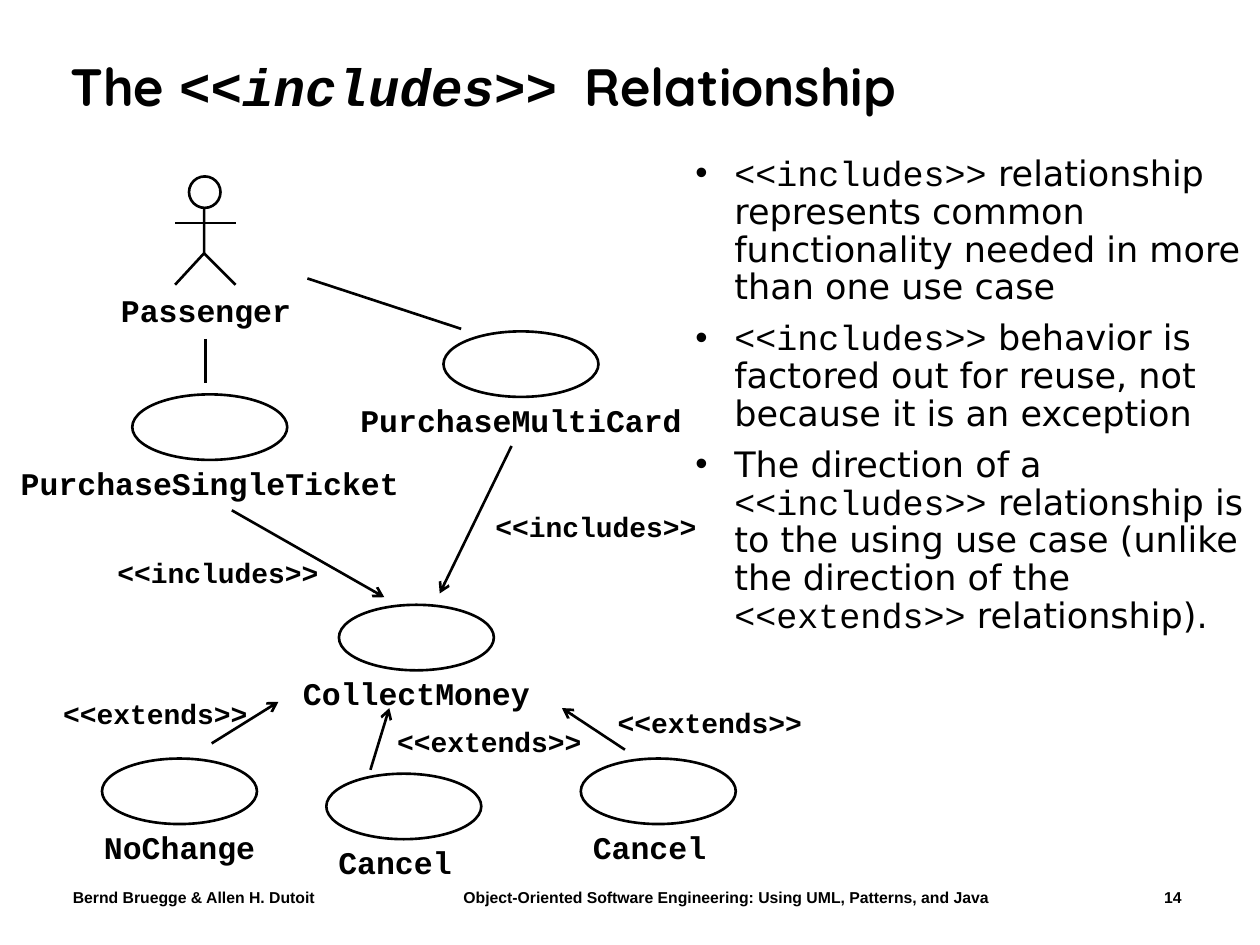
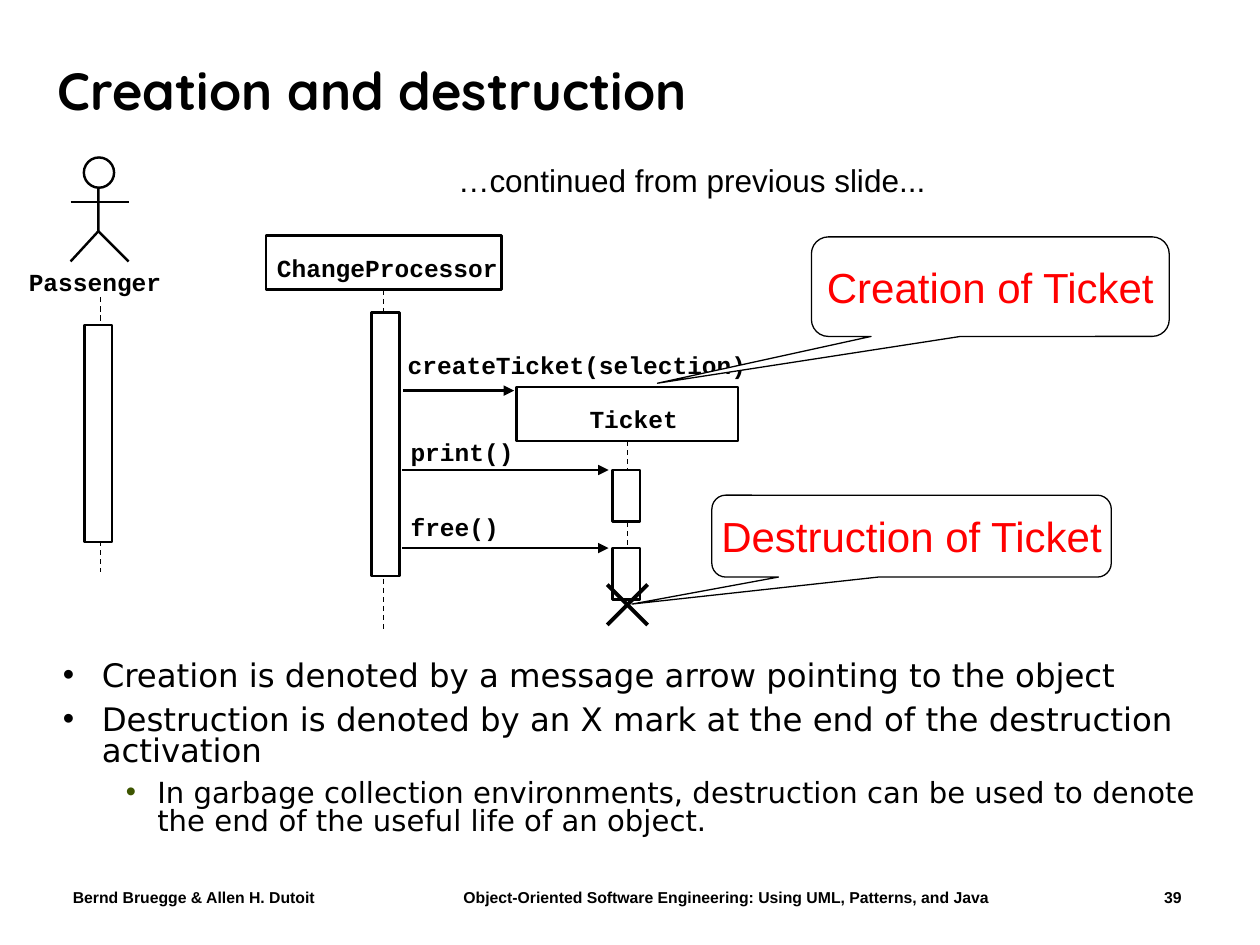
from pptx import Presentation
from pptx.dml.color import RGBColor
from pptx.enum.dml import MSO_LINE
from pptx.enum.shapes import MSO_CONNECTOR as Wire, MSO_SHAPE as Form
from pptx.enum.text import MSO_ANCHOR as Anchor, PP_ALIGN as Align
from pptx.oxml.ns import qn
from pptx.util import Inches, Pt
from lxml.etree import SubElement

# Shared look
BLACK, WHITE, RED, GREEN = "000000", "FFFFFF", "FF0000", "3D5500"
HEAD, BODY, MONO, SANS = "Quicksand", "DejaVu Sans", "Courier New", "Arial"
INCL = ("<<includes>>", MONO)
EXT = ("<<extends>>", MONO)
THICK, THIN, DASH = 1.5, 1.39, 0.75
OVAL = (1.23, 0.52)
BAR = 0.22
SLACK = 0.05


def color(code):
    return RGBColor.from_string(code)


# Text
def mark(para, tint, left, hang):
    """Give a paragraph a hanging bullet."""
    props = para._p.get_or_add_pPr()
    props.set("marL", str(Inches(left)))
    props.set("indent", str(-Inches(hang)))
    SubElement(SubElement(props, qn("a:buClr")), qn("a:srgbClr"), val=tint)
    SubElement(props, qn("a:buFont"), typeface=SANS)
    SubElement(props, qn("a:buChar"), char="•")


def add_tabs(para, stops):
    tabs = SubElement(para._p.get_or_add_pPr(), qn("a:tabLst"))
    for pos, side in stops:
        SubElement(tabs, qn("a:tab"), pos=str(Inches(pos)), algn=side)


def write(shape, *runs, size=18, font=SANS, tint=BLACK, bold=False,
          align=Align.LEFT, anchor=Anchor.TOP, pad=(0.1, 0.05), wrap=True,
          lead=None, gap=0, bullet=None, stops=()):
    """Append a paragraph; a run is a string or (text, font, size, italic)."""
    frame = shape.text_frame
    frame.word_wrap, frame.vertical_anchor = wrap, anchor
    frame.margin_left = frame.margin_right = Inches(pad[0])
    frame.margin_top = frame.margin_bottom = Inches(pad[1])
    para = frame.paragraphs[0]
    if para.runs:
        para = frame.add_paragraph()
        para.space_before = Pt(gap)
    if bullet:
        mark(para, *bullet)
    if stops:
        add_tabs(para, stops)
    para.alignment = align
    if lead:
        para.line_spacing = lead
    for part in runs:
        words, *own = (part,) if isinstance(part, str) else part
        face, points, slant = (own + [None] * 3)[:3]
        run = para.add_run()
        run.text = words
        style = run.font
        style.name, style.size = face or font, Pt(points or size)
        style.bold, style.italic = bold, bool(slant)
        style.color.rgb = color(tint)


def text_box(slide, x, y, w, h):
    return slide.shapes.add_textbox(Inches(x), Inches(y), Inches(w), Inches(h))


def label(slide, x, y, words, size=14):
    """Bold monospaced text; each letter is 0.6 em wide, plus some slack."""
    wide = len(words) * size / 120 + 2 * SLACK
    box = text_box(slide, x - SLACK, y, wide, size / 60)
    write(box, words, size=size, font=MONO, bold=True, align=Align.CENTER,
          pad=(0, 0), wrap=False)


def title(slide, x, y, w, h, *runs):
    write(text_box(slide, x, y, w, h), *runs, size=30, font=HEAD, bold=True,
          anchor=Anchor.MIDDLE, lead=0.9)


def footer(slide, number):
    write(text_box(slide, 0.48, 7, 9.1, 0.25),
          "Bernd Bruegge & Allen H. Dutoit\tObject-Oriented Software "
          f"Engineering: Using UML, Patterns, and Java\t{number}",
          size=9, bold=True, stops=((3.1, "l"), (8.8, "r")))


# Shapes and lines
def shape(slide, form, x, y, w, h, fill=None, line=THICK):
    item = slide.shapes.add_shape(form, Inches(x), Inches(y), Inches(w), Inches(h))
    paint(item, fill, line)
    return item


def paint(item, fill, line):
    item.shadow.inherit = False
    if fill:
        item.fill.solid()
        item.fill.fore_color.rgb = color(fill)
    else:
        item.fill.background()
    if line:
        item.line.color.rgb = color(BLACK)
        item.line.width = Pt(line)
    else:
        item.line.fill.background()


def line(slide, x1, y1, x2, y2, width=THICK, tip=None, dash=False):
    wire = slide.shapes.add_connector(
        Wire.STRAIGHT, Inches(x1), Inches(y1), Inches(x2), Inches(y2))
    wire.line.color.rgb = color(BLACK)
    wire.line.width = Pt(width)
    if dash:
        wire.line.dash_style = MSO_LINE.DASH
    if tip:
        SubElement(wire.line._get_or_add_ln(), qn("a:tailEnd"), type=tip)
    SubElement(wire._element.spPr, qn("a:effectLst"))
    return wire


def actor(slide, x, y, scale=1, width=THICK):
    """Stick figure: trunk with left leg, right leg, arms, head."""
    def at(dx, dy):
        return x + dx * scale, y + dy * scale

    neck, hip, foot = [tuple(map(Inches, at(*p)))
                       for p in ((0.23, 0.18), (0.23, 0.61), (0, 0.86))]
    path = slide.shapes.build_freeform(*neck, scale=1)
    path.add_line_segments([hip, foot], close=False)
    paint(path.convert_to_shape(), None, width)
    line(slide, *at(0.23, 0.61), *at(0.48, 0.86), width)
    line(slide, *at(0, 0.37), *at(0.48, 0.37), width)
    shape(slide, Form.OVAL, *at(0.11, 0), 0.25 * scale, 0.25 * scale, WHITE, width)


def use_case(slide, x, y, name, shift=0):
    shape(slide, Form.OVAL, x, y, *OVAL)
    mid = x + OVAL[0] / 2 + shift
    label(slide, mid - len(name) * 0.075, y + 0.55, name, 18)


def link(slide, ends, word, x, y):
    """Open arrow with its stereotype."""
    line(slide, *ends, tip="arrow")
    label(slide, x, y, word[0], 16)


def call(slide, x1, x2, y, words, x, top):
    line(slide, x1, y, x2, y, THIN, "triangle")
    label(slide, x, top, words)


def bar(slide, x, y, h):
    shape(slide, Form.RECTANGLE, x, y, BAR, h, WHITE, THIN)


def callout(slide, x, y, w, h, words, tip):
    item = shape(slide, Form.ROUNDED_RECTANGULAR_CALLOUT, x, y, w, h, WHITE, 0.75)
    for i, val in enumerate((*tip, 0.17)):
        item.adjustments[i] = val
    write(item, words, size=24, tint=RED, align=Align.CENTER,
          anchor=Anchor.MIDDLE, wrap=False)


# Slides
def includes(slide):
    footer(slide, 14)
    title(slide, 0.46, 0.24, 8.92, 0.94, "The ", ("<<includes>>", MONO, 30, True),
          (" ", MONO, 26, True), "Relationship")
    body = text_box(slide, 5.42, 1.19, 4.58, 5.25)
    for runs in (
        (INCL, " relationship represents common functionality needed in more "
               "than one use case"),
        (INCL, " behavior is factored out for reuse, not because it is an exception"),
        ("The direction of a ", INCL, " relationship is to the using use case "
         "(unlike the direction of the ", EXT, " relationship)."),
    ):
        write(body, *runs, size=20, font=BODY, lead=0.9, gap=7.5,
              bullet=(BLACK, 0.31, 0.31))

    # Use case diagram
    actor(slide, 1.39, 1.4)
    label(slide, 0.96, 2.31, "Passenger", 18)
    for x, y, name, shift in (
        (1.05, 3.13, "PurchaseSingleTicket", 0),
        (3.52, 2.63, "PurchaseMultiCard", 0),
        (2.69, 4.8, "CollectMoney", 0),
        (0.81, 6.02, "NoChange", 0),
        (4.61, 6.02, "Cancel", -0.07),
        (2.59, 6.14, "Cancel", -0.07),
    ):
        use_case(slide, x, y, name, shift)
    line(slide, 1.63, 2.69, 1.63, 3.04)
    line(slide, 2.44, 2.21, 3.66, 2.61)
    for ends, word, x, y in (
        ((4.06, 3.54, 3.49, 4.71), INCL, 3.93, 4.04),
        ((1.84, 4.05, 3.05, 4.74), INCL, 0.93, 4.41),
        ((1.68, 5.9, 2.21, 5.57), EXT, 0.5, 5.53),
        ((4.96, 5.95, 4.46, 5.62), EXT, 4.9, 5.6),
        ((2.94, 6.11, 3.09, 5.62), EXT, 3.15, 5.75),
    ):
        link(slide, ends, word, x, y)


def creation(slide):
    footer(slide, 39)
    title(slide, 0.36, 0.33, 9.24, 0.83, "Creation and destruction")
    body = text_box(slide, 0.4, 5.21, 9.4, 1.51)
    for words in (
        "Creation is denoted by a message arrow pointing to the object",
        "Destruction is denoted by an X mark at the end of the destruction activation",
    ):
        write(body, words, size=18.5, font=BODY, lead=0.8, gap=7.5,
              bullet=(BLACK, 0.31, 0.31))
    write(body, "In garbage collection environments, destruction can be used to "
          "denote the end of the useful life of an object.", size=16.65, font=BODY,
          lead=0.8, gap=6.8, bullet=(GREEN, 0.75, 0.25))
    note = shape(slide, Form.RECTANGLE, 2.38, 1.23, 6.22, 0.4, WHITE, None)
    write(note, "…continued from previous slide...", align=Align.CENTER,
          anchor=Anchor.MIDDLE)

    # Objects and lifelines
    actor(slide, 0.56, 1.25, 0.96, THIN)
    label(slide, 0.23, 2.12, "Passenger")
    line(slide, 0.8, 2.36, 0.8, 4.54, DASH, dash=True)
    for x, y, w, name, left, end in (
        (2.11, 1.87, 1.87, "ChangeProcessor", 2.2, 5.01),
        (4.1, 3.07, 1.76, "Ticket", 4.68, 4.78),
    ):
        box = shape(slide, Form.RECTANGLE, x, y, w, 0.43, None, THIN)
        label(slide, left, y + 0.14, name)
        mid = x + w / 2
        life = line(slide, mid, y + 0.43, mid, end, DASH, dash=True)
        life.begin_connect(box, 2)
    for x, y, h in ((0.67, 2.58, 1.72), (2.95, 2.48, 2.09),
                    (4.86, 3.73, 0.41), (4.86, 4.35, 0.41)):
        bar(slide, x, y, h)

    # Messages
    call(slide, 3.2, 4.08, 3.1, "createTicket(selection)", 3.24, 2.78)
    call(slide, 3.19, 4.83, 3.73, "print()", 3.26, 3.47)
    call(slide, 3.19, 4.83, 4.35, "free()", 3.26, 4.06)

    # Callouts and destruction mark
    callout(slide, 6.44, 1.88, 2.84, 0.79, "Creation of Ticket", (-0.93, 0.97))
    callout(slide, 5.65, 3.93, 3.17, 0.65, "Destruction of Ticket", (-0.7, 0.83))
    for x1, x2 in ((4.82, 5.14), (5.14, 4.82)):
        line(slide, x1, 4.96, x2, 4.64, 2.25)


def main():
    deck = Presentation()
    deck.slide_width, deck.slide_height = Inches(10), Inches(7.5)
    for build in (includes, creation):
        build(deck.slides.add_slide(deck.slide_layouts[6]))
    deck.save("out.pptx")


if __name__ == "__main__":
    main()
